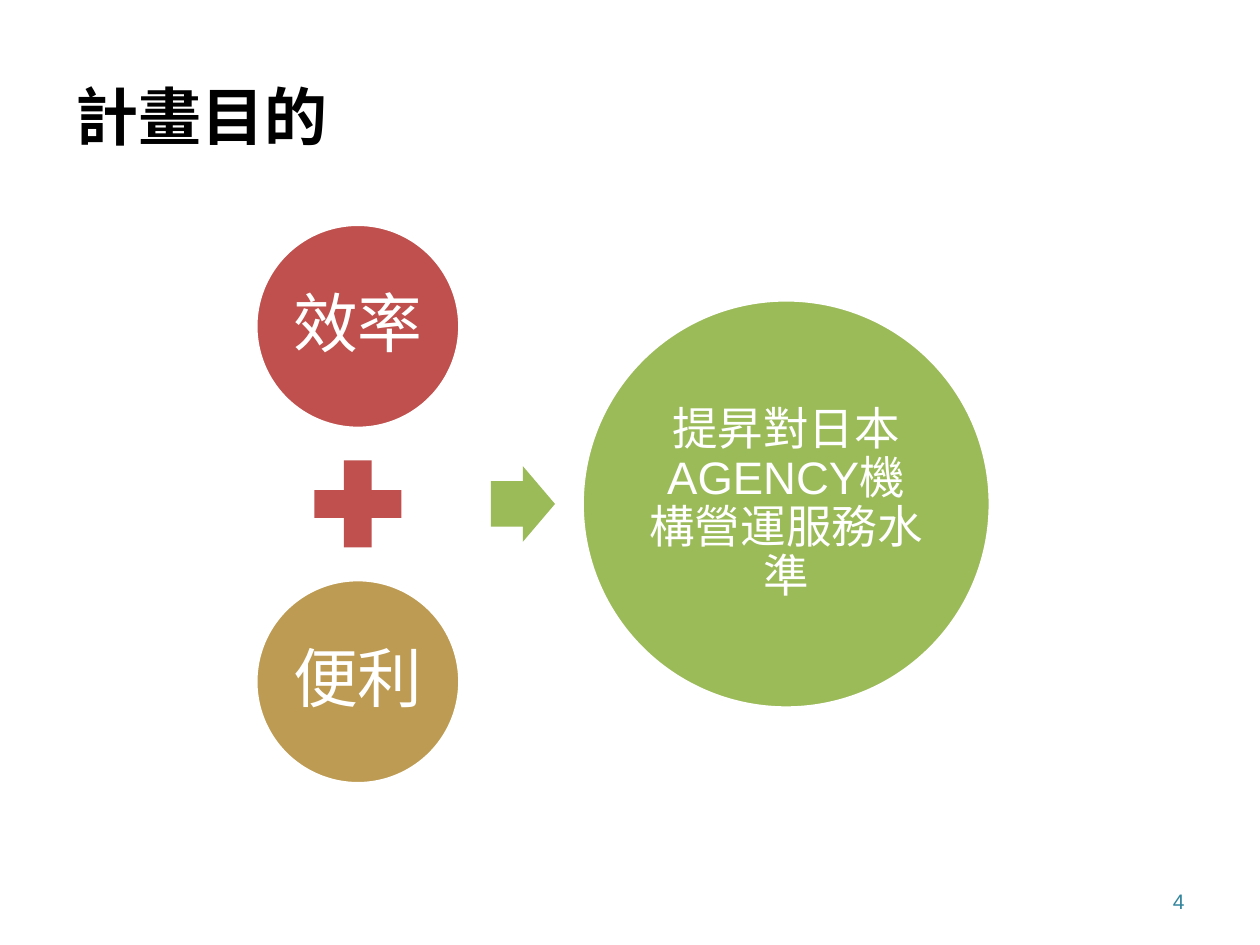
from pptx import Presentation
from pptx.dml.color import RGBColor
from pptx.enum.shapes import MSO_SHAPE as Shape
from pptx.enum.text import MSO_ANCHOR as Anchor, PP_ALIGN as Align
from pptx.util import Inches, Pt

RED, GOLD, GREEN = "C0504D", "BD9B53", "9BBB59"
WHITE, BLACK, TEAL = "FFFFFF", "000000", "31859C"


def color(code):
    return RGBColor.from_string(code)


def write(frame, text, size=12, hue=BLACK, bold=False, align=Align.LEFT,
          inset=None, lines=None, after=None):
    frame.word_wrap = True
    frame.vertical_anchor = Anchor.MIDDLE
    if inset is not None:
        frame.margin_left = frame.margin_right = Inches(inset)
        frame.margin_top = frame.margin_bottom = Inches(inset)
    para = frame.paragraphs[0]
    para.alignment = align
    para.line_spacing = lines
    para.space_after = after
    run = para.add_run()
    run.text = text
    font = run.font
    font.name, font.size, font.bold = "Arial", Pt(size), bold
    font.color.rgb = color(hue)


class Board:
    """Holds the style and the current slide."""

    def __init__(self, slide):
        self.slide = slide
        self.edge = Pt(2)

    def title(self, text, *box):
        head = self.slide.shapes.title
        head.left, head.top, head.width, head.height = map(Inches, box)
        write(head.text_frame, text, size=36, bold=True)

    def label(self, text, *box, **style):
        area = self.slide.shapes.add_textbox(*map(Inches, box))
        write(area.text_frame, text, **style)

    def shape(self, kind, hue, mid_x, mid_y, wide, high):
        """Add a plain filled shape centred on a point."""
        item = self.slide.shapes.add_shape(
            kind, Inches(mid_x - wide / 2), Inches(mid_y - high / 2),
            Inches(wide), Inches(high))
        item.shadow.inherit = False
        item.fill.solid()
        item.fill.fore_color.rgb = color(hue)
        item.line.fill.background()
        return item

    def circle(self, text, hue, mid_x, mid_y, wide, size, inset):
        disc = self.shape(Shape.OVAL, hue, mid_x, mid_y, wide, wide)
        disc.line.color.rgb = color(WHITE)
        disc.line.width = self.edge
        write(disc.text_frame, text, size=size, hue=WHITE, align=Align.CENTER,
              inset=inset, lines=0.9, after=Pt(size * 0.35))


def main():
    deck = Presentation()
    deck.slide_width, deck.slide_height = Inches(10), Inches(7.5)
    board = Board(deck.slides.add_slide(deck.slide_layouts[5]))

    board.title("計畫目的", 0.5, 0.52, 9, 0.79)
    board.label("4", 7.17, 6.95, 2.33, 0.4, hue=TEAL, align=Align.RIGHT)

    left, mid, step = 2.84, 4, 1.41
    board.circle("效率", RED, left, mid - step, 1.62, 37, 0.05)
    board.shape(Shape.MATH_PLUS, RED, left, mid, 0.94, 0.94)
    board.circle("便利", GOLD, left, mid + step, 1.62, 37, 0.05)

    arrow = board.shape(Shape.RIGHT_ARROW, GREEN, 4.15, mid, 0.51, 0.6)
    arrow.adjustments[0] = 0.6
    board.circle("提昇對日本AGENCY機構營運服務水準", GREEN, 6.24, mid, 3.24, 26, 0.04)

    deck.save("out.pptx")


if __name__ == "__main__":
    main()
